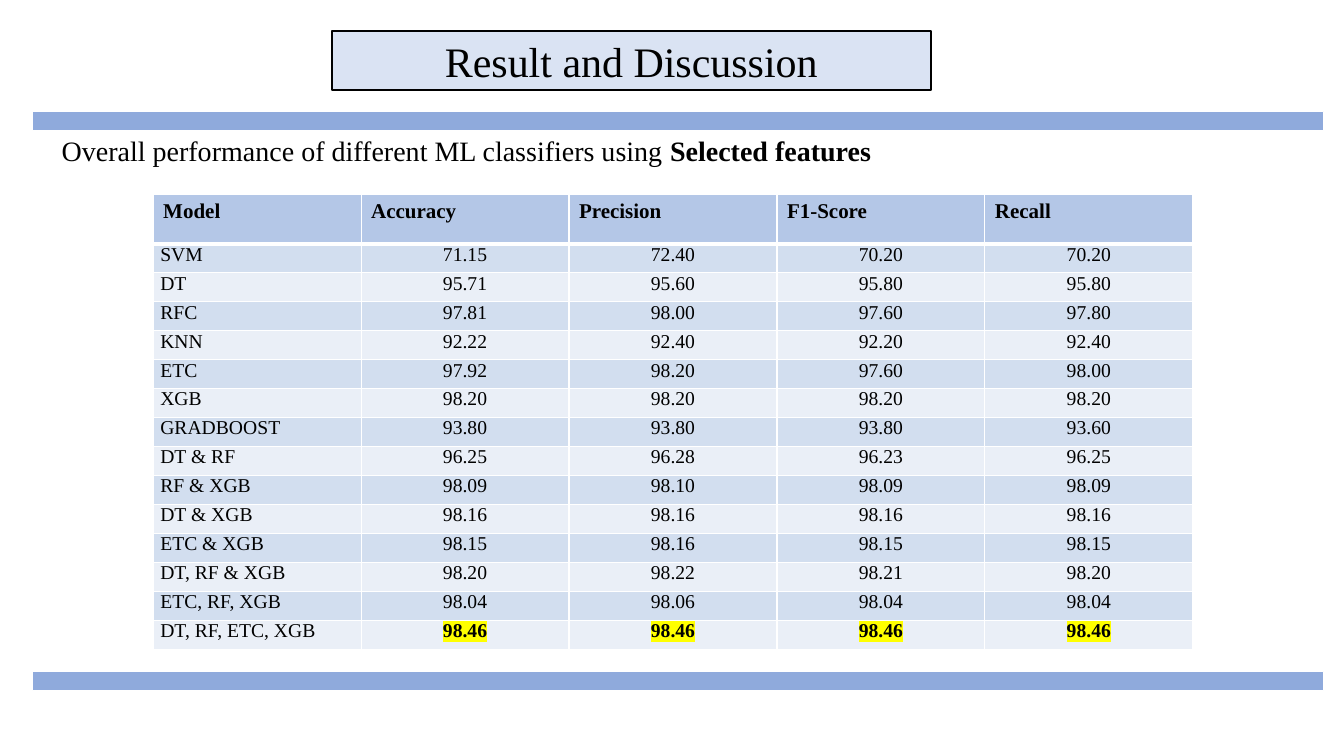
import pptx
import pptx.util
import pptx.dml.color
import pptx.enum.text
import pptx.enum.shapes
import pptx.oxml
import pptx.oxml.ns

Cm, Pt = pptx.util.Cm, pptx.util.Pt
ALIGN = pptx.enum.text.PP_ALIGN
ANCHOR = pptx.enum.text.MSO_ANCHOR

# Content
TITLE = "Result and Discussion"
LEAD = [("Overall performance of different ML classifiers using ", False),
        ("Selected features", True)]
HEAD = ["Model", "Accuracy", "Precision", "F1-Score", "Recall"]
ROWS = [
    ("SVM", "71.15", "72.40", "70.20", "70.20"),
    ("DT", "95.71", "95.60", "95.80", "95.80"),
    ("RFC", "97.81", "98.00", "97.60", "97.80"),
    ("KNN", "92.22", "92.40", "92.20", "92.40"),
    ("ETC", "97.92", "98.20", "97.60", "98.00"),
    ("XGB", "98.20", "98.20", "98.20", "98.20"),
    ("GRADBOOST", "93.80", "93.80", "93.80", "93.60"),
    ("DT & RF", "96.25", "96.28", "96.23", "96.25"),
    ("RF & XGB", "98.09", "98.10", "98.09", "98.09"),
    ("DT & XGB", "98.16", "98.16", "98.16", "98.16"),
    ("ETC & XGB", "98.15", "98.16", "98.15", "98.15"),
    ("DT, RF & XGB", "98.20", "98.22", "98.21", "98.20"),
    ("ETC, RF, XGB", "98.04", "98.06", "98.04", "98.04"),
    ("DT, RF, ETC, XGB", "98.46", "98.46", "98.46", "98.46"),
]

# Formats
HEX = {"text": "000000", "title": "DAE3F3", "bar": "8FAADC", "edge": "FFFFFF",
       "head": "B4C7E7", "odd": "D2DEEF", "even": "EAEFF7", "mark": "FFFF00"}
FONT = "Times New Roman"
FRAME = {"word_wrap": True, "auto_size": pptx.enum.text.MSO_AUTO_SIZE.NONE}
TIGHT = {"margin_left": Cm(0.18), "margin_right": Cm(0.18),
         "margin_top": 0, "margin_bottom": 0}
SPACE = {"space_before": Pt(1.8), "space_after": Pt(1.8)}
FLAT = {"space_before": Pt(0), "space_after": Pt(0)}

# Sizes in cm
COL, TOP, STEP = 5.24, 1.24, 0.73
BARS = [2.8, 16.92]


def apply(item, *groups):
    for group in groups:
        for key, value in group.items():
            setattr(item, key, value)


def place(item, left, top, width, height):
    apply(item, {"left": Cm(left), "top": Cm(top),
                 "width": Cm(width), "height": Cm(height)})


def color(name):
    return pptx.dml.color.RGBColor.from_string(HEX[name])


def paint(item, name):
    item.fill.solid()
    item.fill.fore_color.rgb = color(name)


def outline(item, name, width):
    item.line.color.rgb = color(name)
    item.line.width = Pt(width)


def write(para, text, size, bold=False):
    run = para.add_run()
    run.text = text
    apply(run.font, {"name": FONT, "size": Pt(size), "bold": bold})
    run.font.color.rgb = color("text")
    return run


def xml(tag, name, attrs=""):
    space = pptx.oxml.ns.nsdecls("a")
    fill = f'<a:srgbClr val="{HEX[name]}"/>'
    if tag != "highlight":
        fill = f"<a:solidFill>{fill}</a:solidFill>"
    return pptx.oxml.parse_xml(f"<a:{tag} {space} {attrs}>{fill}</a:{tag}>")


def border(cell, row):
    wide = {"lnT": 3 if row == 1 else 1, "lnB": 3 if row == 0 else 1}
    for side in ("lnL", "lnR", "lnT", "lnB"):
        width = Pt(wide.get(side, 1))
        cell._tc.get_or_add_tcPr().append(xml(side, "edge", f'w="{width}"'))


def highlight(run):
    fill = run.font._element.find(pptx.oxml.ns.qn("a:solidFill"))
    fill.addnext(xml("highlight", "mark"))


# Slide
deck = pptx.Presentation()
deck.slide_width, deck.slide_height = Cm(33.87), Cm(19.05)
slide = deck.slides.add_slide(deck.slide_layouts[1])
title, body = slide.placeholders

# Title box
place(title, 8.36, 0.79, 15.11, 1.47)
paint(title, "title")
outline(title, "text", 1.5)
apply(title.text_frame, FRAME, {"vertical_anchor": ANCHOR.MIDDLE})
para = title.text_frame.paragraphs[0]
para.alignment = ALIGN.CENTER
write(para, TITLE, 30)

# Lead line
place(body, 1.3, 3.23, 31.78, 13.13)
apply(body.text_frame, FRAME, {"vertical_anchor": ANCHOR.TOP})
para = body.text_frame.paragraphs[0]
apply(para, FLAT)
props = para._p.get_or_add_pPr()
props.set("marL", "0")
props.set("indent", "0")
props.append(pptx.oxml.parse_xml(f'<a:buNone {pptx.oxml.ns.nsdecls("a")}/>'))
for text, bold in LEAD:
    write(para, text, 20, bold)

# Score table
grid = slide.shapes.add_table(
    len(ROWS) + 1, len(HEAD), Cm(3.86), Cm(4.9),
    Cm(COL * len(HEAD)), Cm(TOP + STEP * len(ROWS))).table
for col in grid.columns:
    col.width = Cm(COL)
for r, line in enumerate([HEAD, *ROWS]):
    grid.rows[r].height = Cm(STEP if r else TOP)
    last = r == len(ROWS)
    for c, text in enumerate(line):
        cell = grid.cell(r, c)
        border(cell, r)
        paint(cell, "head" if r == 0 else "odd" if r % 2 else "even")
        para = cell.text_frame.paragraphs[0]
        best = last and c > 0
        run = write(para, text, 14 if r else 15, r == 0 or best)
        if r:
            apply(cell, TIGHT)
            apply(para, SPACE, {"alignment": ALIGN.CENTER if c else ALIGN.LEFT})
        if best:
            highlight(run)

# Bars above and below
for top in BARS:
    bar = slide.shapes.add_shape(pptx.enum.shapes.MSO_SHAPE.RECTANGLE, 0, 0, 0, 0)
    place(bar, 0.82, top, 32.54, 0.48)
    bar.shadow.inherit = False
    paint(bar, "bar")
    outline(bar, "edge", 0.5)

deck.save("out.pptx")
